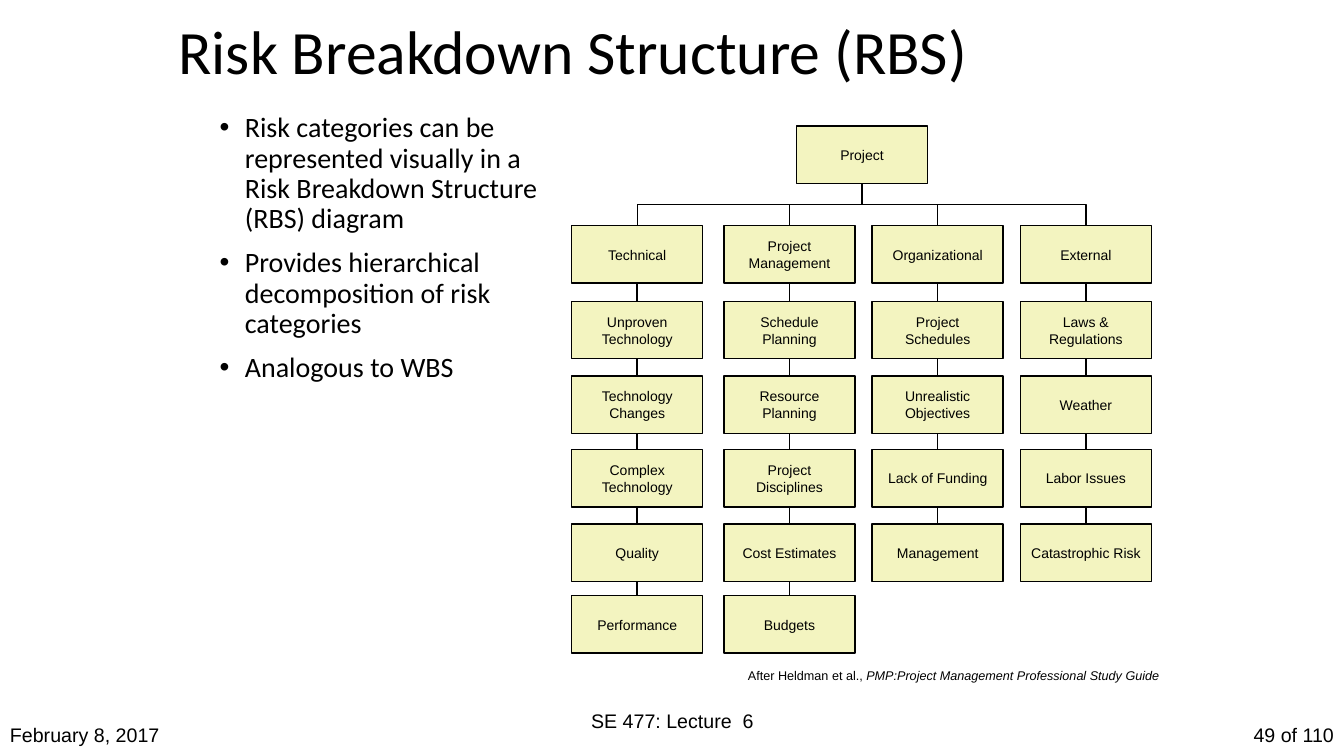
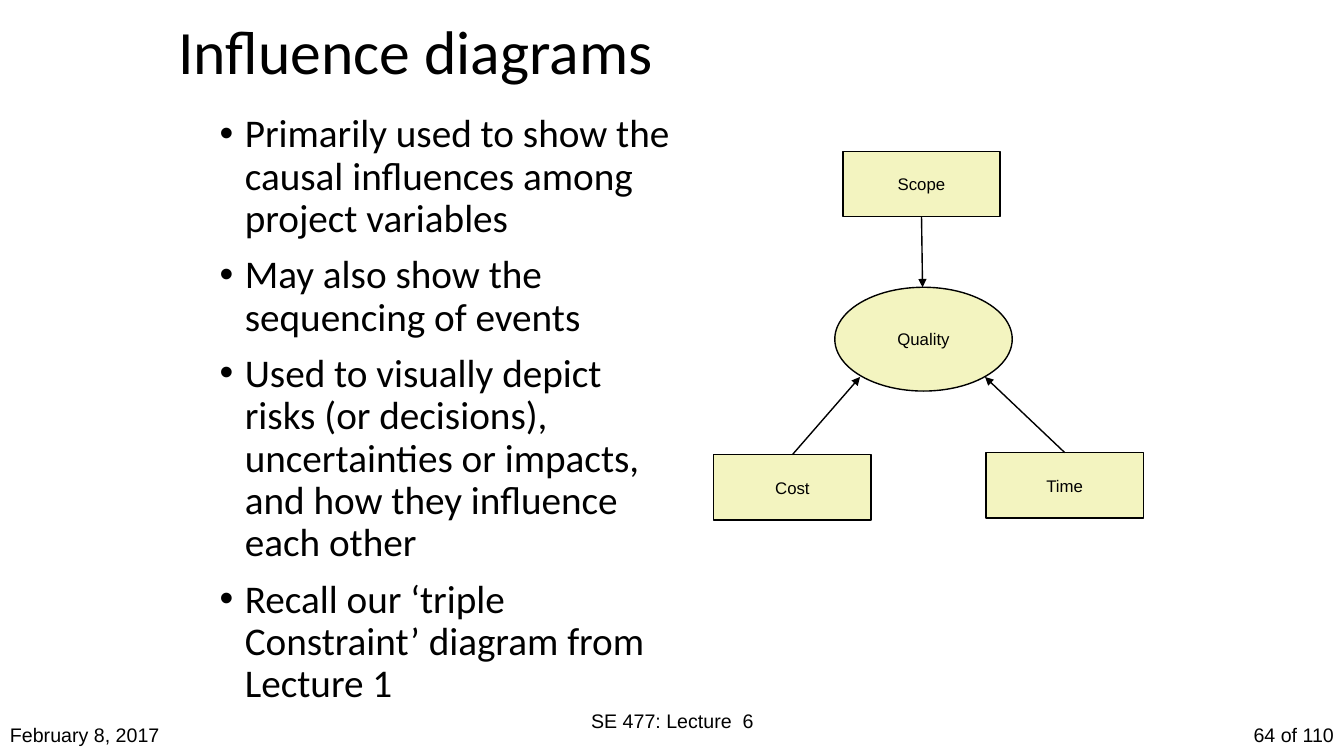
import pptx
import pptx.util
import pptx.dml.color
import pptx.enum.shapes
import pptx.enum.text
import pptx.oxml.ns
import lxml.etree

PX = 9144
HUES = {"ink": "000000", "box": "F3F4C0", "page": "FFFFFF"}
KIND = pptx.enum.shapes.MSO_SHAPE
LINK = pptx.enum.shapes.MSO_CONNECTOR
ALIGN = pptx.enum.text.PP_ALIGN
MID = pptx.enum.text.MSO_ANCHOR.MIDDLE
TOP = pptx.enum.text.MSO_ANCHOR.TOP
FIT = pptx.enum.text.MSO_AUTO_SIZE.NONE


def px(*sizes):
    return [pptx.util.Emu(size * PX) for size in sizes]


def hue(name):
    return pptx.dml.color.RGBColor.from_string(HUES[name])


def node(host, tag, **attrs):
    return lxml.etree.SubElement(host, pptx.oxml.ns.qn(tag), attrs)


class Deck:
    def __init__(self):
        self.file = pptx.Presentation()
        self.file.slide_width, self.file.slide_height = px(1333, 750)
        self.slide = None

    def start(self, title, page):
        self.slide = self.file.slides.add_slide(self.file.slide_layouts[5])
        fill = self.slide.background.fill
        fill.solid()
        fill.fore_color.rgb = hue("page")
        head = self.slide.shapes.title
        head.left, head.top, head.width, head.height = px(167, 0, 1000, 108)
        head.text_frame.text = title
        self.style(head.text_frame, 44, "Calibri", ALIGN.LEFT, MID)
        head.text_frame.paragraphs[0].line_spacing = 0.9
        self.text("February 8, 2017", (0, 708, 289, 42), 14)
        self.text("SE 477: Lecture  6", (442, 695, 450, 40), 14, ALIGN.CENTER)
        self.text(f"{page} of 110", (1111, 708, 222, 42), 14, ALIGN.RIGHT)

    def style(self, frame, size, face, align, anchor, wrap=True):
        frame.auto_size = FIT
        frame.word_wrap = wrap
        frame.vertical_anchor = anchor
        for para in frame.paragraphs:
            para.alignment = align
            for run in para.runs:
                run.font.size = pptx.util.Pt(size)
                run.font.name = face
                run.font.color.rgb = hue("ink")

    def text(self, words, area, size, align=ALIGN.LEFT, wrap=True, slant=""):
        frame = self.slide.shapes.add_textbox(*px(*area)).text_frame
        frame.text = words
        if slant:
            run = frame.paragraphs[0].add_run()
            run.text = slant
            run.font.italic = True
        self.style(frame, size, "Arial", align, MID, wrap)

    def list(self, items, area, size):
        frame = self.slide.shapes.add_textbox(*px(*area)).text_frame
        frame.text = "\n".join(items)
        for i, para in enumerate(frame.paragraphs):
            props = para._p.get_or_add_pPr()
            props.set("marL", str(25 * PX))
            props.set("indent", str(-25 * PX))
            node(props, "a:buFont", typeface="Arial")
            node(props, "a:buChar", char="•")
            para.line_spacing = 0.9
            if i:
                para.space_before = pptx.util.Pt(10)
        self.style(frame, size, "Calibri", ALIGN.LEFT, TOP)

    def box(self, words, area, size, kind=KIND.RECTANGLE, wrap=True):
        shape = self.slide.shapes.add_shape(kind, *px(*area))
        shape.shadow.inherit = False
        shape.fill.solid()
        shape.fill.fore_color.rgb = hue("box")
        self.ink(shape.line)
        shape.text_frame.text = words
        self.style(shape.text_frame, size, "Arial", ALIGN.CENTER, MID, wrap)
        return shape

    def ink(self, line):
        line.color.rgb = hue("ink")
        line.width = pptx.util.Pt(1)

    def line(self, kind, ends=(0, 0, 0, 0)):
        line = self.slide.shapes.add_connector(kind, *px(*ends))
        self.ink(line.line)
        node(line.element.spPr, "a:effectLst")
        return line

    def join(self, upper, lower, kind=LINK.STRAIGHT):
        line = self.line(kind)
        line.begin_connect(upper, 2)
        line.end_connect(lower, 0)
        return line

    def elbow(self, upper, lower):
        line = self.join(upper, lower, LINK.ELBOW)
        wide, high = line.width, line.height
        right = line.end_x > line.begin_x
        left, top = line.left, line.top
        line.left = left + (wide - high) // 2
        line.top = top + (high - wide) // 2
        line.width, line.height = high, wide
        frame = line.element.spPr.find(pptx.oxml.ns.qn("a:xfrm"))
        frame.set("rot", "16200000" if right else "5400000")
        frame.set("flipH", "1" if right else "0")

    def arrow(self, source, end):
        line = self.line(LINK.STRAIGHT, (0, 0, *end))
        line.begin_connect(source[0], source[1])
        pen = line.line._get_or_add_ln()
        node(pen, "a:tailEnd", type="triangle")
        return line


RISKS = {
    567: ["Technical", "Unproven Technology", "Technology Changes",
          "Complex Technology", "Quality", "Performance"],
    718: ["Project Management", "Schedule Planning", "Resource Planning",
          "Project Disciplines", "Cost Estimates", "Budgets"],
    865: ["Organizational", "Project Schedules", "Unrealistic Objectives",
          "Lack of Funding", "Management"],
    1012: ["External", "Laws & Regulations", "Weather", "Labor Issues",
           "Catastrophic Risk"],
}
ROWS = [224, 299, 373, 446, 520, 591]


def risks(deck):
    deck.start("Risk Breakdown Structure (RBS)", 49)
    deck.list(["Risk categories can be represented visually in a Risk "
               "Breakdown Structure (RBS) diagram",
               "Provides hierarchical decomposition of risk categories",
               "Analogous to WBS"], (208, 108, 342, 583), 20)
    root = deck.box("Project", (790, 125, 130, 57), 10)
    for left, names in RISKS.items():
        chain = [deck.box(name, (left, top, 130, 57), 10)
                 for name, top in zip(names, ROWS)]
        deck.elbow(root, chain[0])
        for upper, lower in zip(chain, chain[1:]):
            deck.join(upper, lower)
    deck.text("After Heldman et al., ", (732, 658, 434, 25), 9, wrap=False,
              slant="PMP:Project Management Professional Study Guide")


def causes(deck):
    deck.start("Influence diagrams", 64)
    deck.list(["Primarily used to show the causal influences among project "
               "variables",
               "May also show the sequencing of events",
               "Used to visually depict risks (or decisions), uncertainties "
               "or impacts, and how they influence each other",
               "Recall our ‘triple Constraint’ diagram from Lecture 1"],
              (208, 108, 475, 600), 28)
    deck.box("Quality", (828, 285, 176, 103), 12, KIND.OVAL, False)
    for name, left, top, site, end in [
            ("Cost", 708, 451, 0, (853, 374)),
            ("Scope", 836, 150, 2, (915, 285)),
            ("Time", 978, 449, 0, (977, 374))]:
        shape = deck.box(name, (left, top, 156, 65), 12, wrap=False)
        deck.arrow((shape, site), end)


def main():
    deck = Deck()
    risks(deck)
    causes(deck)
    deck.file.save("out.pptx")


if __name__ == "__main__":
    main()
